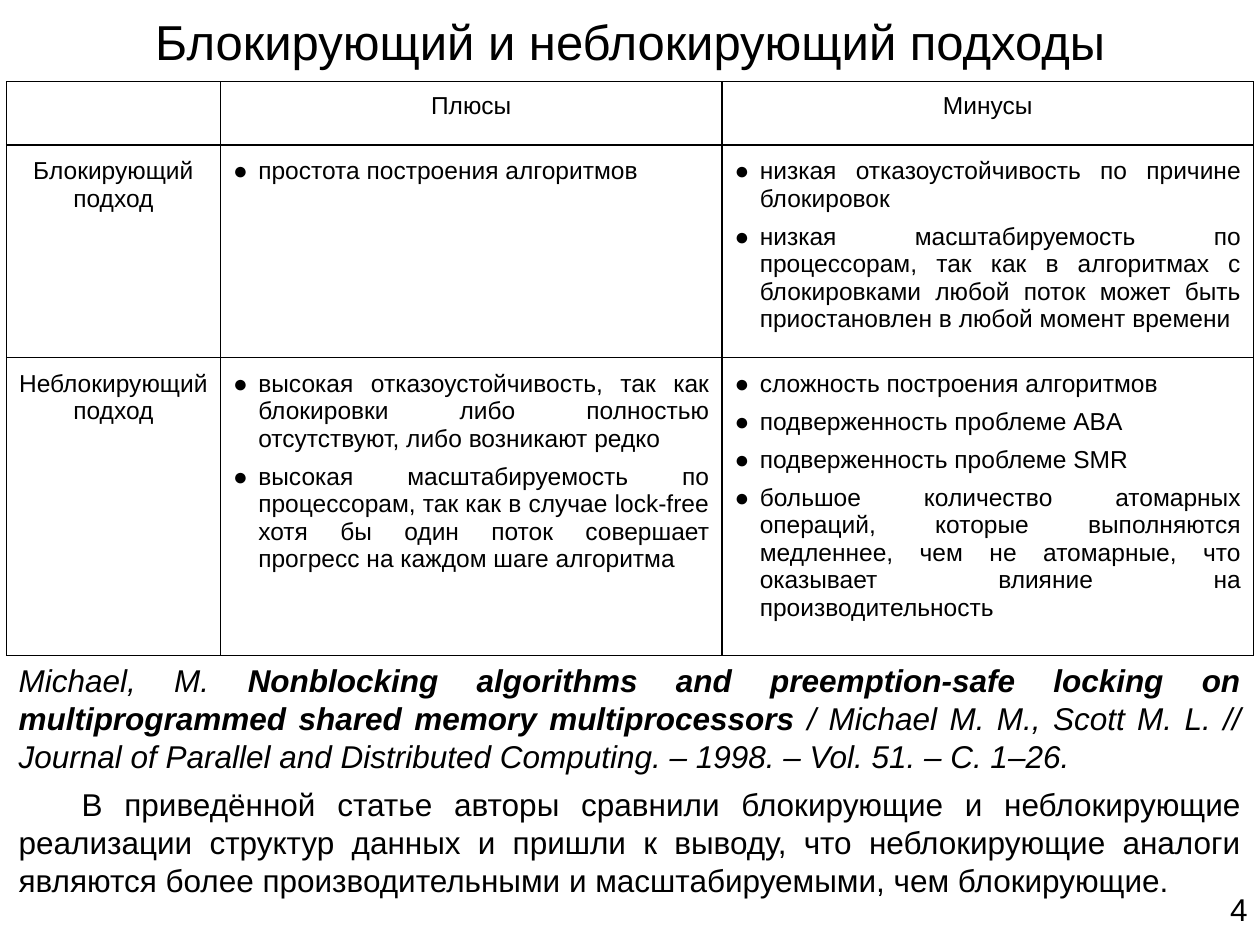
from lxml.etree import SubElement
from pptx import Presentation
from pptx.dml.color import RGBColor
from pptx.enum.text import MSO_ANCHOR, PP_ALIGN
from pptx.oxml.ns import qn
from pptx.util import Pt

BLACK = RGBColor(0x00, 0x00, 0x00)
FONT = "Arial"
INSET = Pt(7.2)
BULLET_INDENT = Pt(14.4)
GAP = Pt(6)
BORDER_WIDTH = Pt(0.75)
COLUMN_WIDTHS = (122.4, 286.56, 303.84)
ROW_HEIGHTS = (34.3, 118.8, 170.6)
HEADERS = ("", "Плюсы", "Минусы")
APPROACHES = (
    (
        ("Блокирующий", "подход"),
        ("простота построения алгоритмов",),
        (
            "низкая отказоустойчивость по причине блокировок",
            "низкая масштабируемость по процессорам, так как в алгоритмах с "
            "блокировками любой поток может быть приостановлен в любой момент времени",
        ),
    ),
    (
        ("Неблокирующий", "подход"),
        (
            "высокая отказоустойчивость, так как блокировки либо полностью "
            "отсутствуют, либо возникают редко",
            "высокая масштабируемость по процессорам, так как в случае lock-free "
            "хотя бы один поток совершает прогресс на каждом шаге алгоритма",
        ),
        (
            "сложность построения алгоритмов",
            "подверженность проблеме ABA",
            "подверженность проблеме SMR",
            "большое количество атомарных операций, которые выполняются медленнее, "
            "чем не атомарные, что оказывает влияние на производительность",
        ),
    ),
)
CITATION = (
    ("Michael, M. ", {"italic": True}),
    (
        "Nonblocking algorithms and preemption-safe locking on "
        "multiprogrammed shared memory multiprocessors",
        {"italic": True, "bold": True},
    ),
    (
        " / Michael M. M., Scott M. L. // Journal of Parallel and Distributed "
        "Computing. – 1998. – Vol. 51. – С. 1–26.",
        {"italic": True},
    ),
)
CONCLUSION = (
    "В приведённой статье авторы сравнили блокирующие и неблокирующие реализации "
    "структур данных и пришли к выводу, что неблокирующие аналоги являются более "
    "производительными и масштабируемыми, чем блокирующие."
)


def set_attributes(target, values):
    """Set each named attribute of the target."""
    for name, value in values.items():
        setattr(target, name, value)


def add_run(paragraph, text, size, **font_values):
    """Add a black run of the given size."""
    run = paragraph.add_run()
    run.text = text
    set_attributes(run.font, {"name": FONT, "size": Pt(size), **font_values})
    run.font.color.rgb = BLACK


def fill_paragraphs(frame, texts, size, **paragraph_values):
    """Write one paragraph for each text and return them all."""
    paragraphs = [frame.paragraphs[0]]
    paragraphs += [frame.add_paragraph() for _ in texts[1:]]
    for paragraph, text in zip(paragraphs, texts):
        set_attributes(paragraph, paragraph_values)
        if text:
            add_run(paragraph, text, size)
    return paragraphs


def set_indent(paragraph, margin, indent):
    """Set the left margin and first-line indent and return the properties."""
    properties = paragraph._p.get_or_add_pPr()
    properties.set("marL", str(margin))
    properties.set("indent", str(indent))
    return properties


def fill_bullets(frame, texts):
    """Write a justified bullet list with gaps between its items."""
    paragraphs = fill_paragraphs(frame, texts, 14, alignment=PP_ALIGN.JUSTIFY)
    for paragraph in paragraphs[1:]:
        paragraph.space_before = GAP
    paragraphs[-1].space_after = GAP
    for paragraph in paragraphs:
        properties = set_indent(paragraph, BULLET_INDENT, -BULLET_INDENT)
        color = SubElement(properties, qn("a:buClr"))
        SubElement(color, qn("a:srgbClr"), val=str(BLACK))
        SubElement(properties, qn("a:buFont"), typeface=FONT)
        SubElement(properties, qn("a:buChar"), char="●")


def format_cell(cell):
    """Give a cell its margins, an empty fill and thin borders."""
    margins = ("margin_left", "margin_top", "margin_right", "margin_bottom")
    set_attributes(cell, dict.fromkeys(margins, INSET))
    properties = cell._tc.get_or_add_tcPr()
    for side in ("a:lnL", "a:lnR", "a:lnT", "a:lnB"):
        line = SubElement(properties, qn(side), w=str(BORDER_WIDTH))
        fill = SubElement(line, qn("a:solidFill"))
        SubElement(fill, qn("a:srgbClr"), val=str(BLACK))
    cell.fill.background()


def add_text_box(slide, left, top, width, height, anchor=MSO_ANCHOR.TOP):
    """Add a wrapping text box and return its frame."""
    shape = slide.shapes.add_textbox(Pt(left), Pt(top), Pt(width), Pt(height))
    margins = ("margin_left", "margin_top", "margin_right", "margin_bottom")
    set_attributes(
        shape.text_frame,
        {"word_wrap": True, "vertical_anchor": anchor, **dict.fromkeys(margins, INSET)},
    )
    return shape.text_frame


def add_label(slide, box, text, size, alignment):
    """Place a single vertically centred line."""
    frame = add_text_box(slide, *box, anchor=MSO_ANCHOR.MIDDLE)
    fill_paragraphs(frame, (text,), size, alignment=alignment)


def add_comparison(slide, left, top):
    """Place the table of pros and cons of both approaches."""
    shape = slide.shapes.add_table(
        len(ROW_HEIGHTS), len(COLUMN_WIDTHS), Pt(left), Pt(top),
        Pt(sum(COLUMN_WIDTHS)), Pt(sum(ROW_HEIGHTS)),
    )
    table = shape.table
    set_attributes(table, {"first_row": False, "horz_banding": False})
    for column, width in zip(table.columns, COLUMN_WIDTHS):
        column.width = Pt(width)
    for row, height in zip(table.rows, ROW_HEIGHTS):
        row.height = Pt(height)
    for cell in table.iter_cells():
        format_cell(cell)
    for cell, header in zip(table.rows[0].cells, HEADERS):
        fill_paragraphs(
            cell.text_frame, (header,), 14, alignment=PP_ALIGN.CENTER, line_spacing=0.9
        )
    for row_index, (name, *lists) in enumerate(APPROACHES, start=1):
        name_cell, *list_cells = table.rows[row_index].cells
        fill_paragraphs(name_cell.text_frame, name, 14, alignment=PP_ALIGN.CENTER)
        for cell, texts in zip(list_cells, lists):
            fill_bullets(cell.text_frame, texts)


def add_reference(slide, left, top, width, height):
    """Place the cited article and the conclusion drawn from it."""
    frame = add_text_box(slide, left, top, width, height)
    citation, conclusion = fill_paragraphs(
        frame, ("", CONCLUSION), 18, alignment=PP_ALIGN.JUSTIFY
    )
    for text, font_values in CITATION:
        add_run(citation, text, 18, **font_values)
    conclusion.space_before = GAP
    set_indent(conclusion, Pt(0), Pt(36))


def main():
    """Build and save the slide."""
    presentation = Presentation()
    set_attributes(presentation, {"slide_width": Pt(720), "slide_height": Pt(540)})
    slide = presentation.slides.add_slide(presentation.slide_layouts[6])
    add_label(
        slide, (24.5, 0, 671, 46.8), "Блокирующий и неблокирующий подходы", 28,
        PP_ALIGN.CENTER,
    )
    add_comparison(slide, 3.6, 46.8)
    add_reference(slide, 3.6, 370.8, 712.8, 151.2)
    add_label(slide, (676.8, 499, 43.2, 41), "4", 18, PP_ALIGN.RIGHT)
    presentation.save("out.pptx")


if __name__ == "__main__":
    main()
